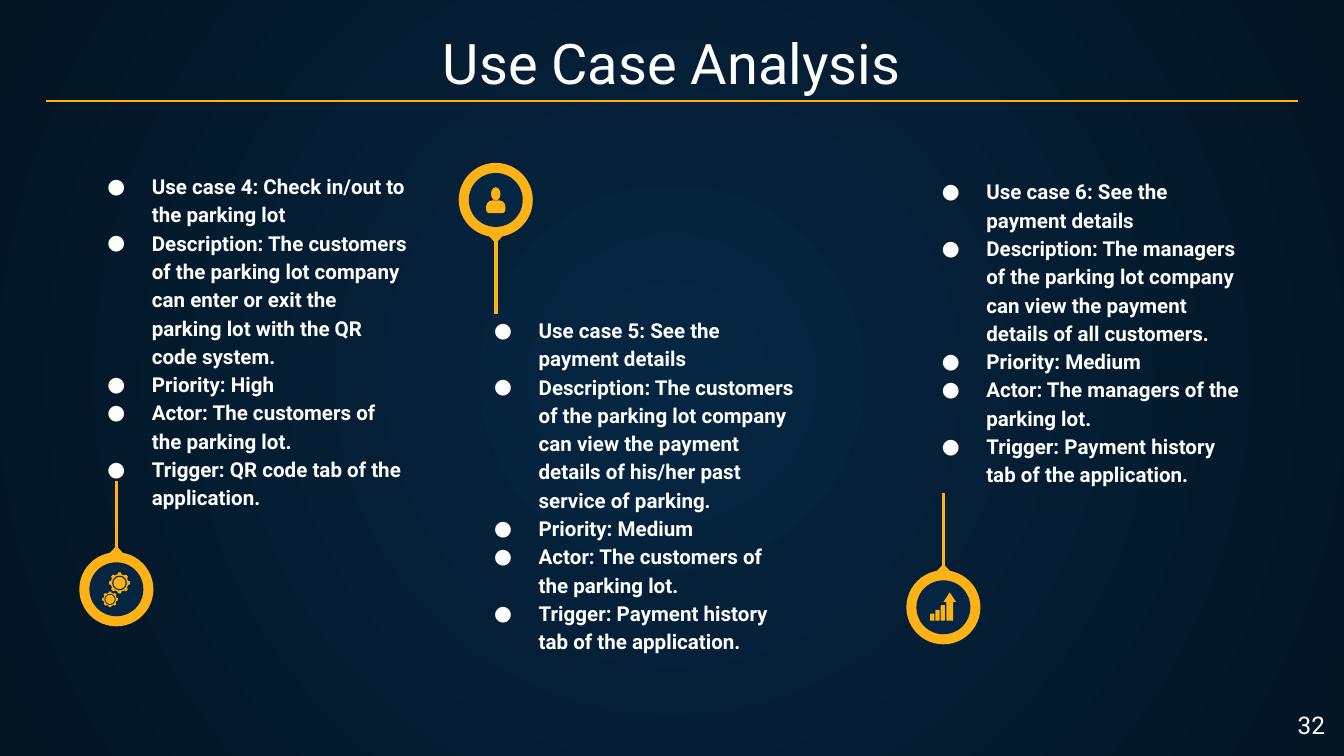
"""Build the Use Case Analysis slide with three marked lists."""
from math import cos, pi, sin

from lxml.etree import SubElement
from pptx import Presentation
from pptx.dml.color import RGBColor
from pptx.enum.shapes import MSO_CONNECTOR, MSO_SHAPE
from pptx.enum.text import MSO_ANCHOR, MSO_AUTO_SIZE, PP_ALIGN
from pptx.oxml.ns import qn
from pptx.util import Cm, Pt

GOLD, NAVY, DARK, WHITE = "FFB215", "052643", "041523", "FFFFFF"
rgb = RGBColor.from_string


def add(kind, x, y, w, h, color=GOLD):
    """Add a plain filled preset shape, with lengths in centimetres."""
    sp = s.shapes.add_shape(kind, Cm(x), Cm(y), Cm(w), Cm(h))
    sp.fill.solid()
    sp.fill.fore_color.rgb = rgb(color)
    sp.line.fill.background()
    sp.shadow.inherit = False
    return sp


def write(sp, box, lines, size, bold=False, align=PP_ALIGN.LEFT):
    """Place a text shape and fill it with white paragraphs."""
    sp.left, sp.top, sp.width, sp.height = [Cm(v) for v in box]
    tf = sp.text_frame
    tf.word_wrap = True
    tf.auto_size = MSO_AUTO_SIZE.NONE
    tf.vertical_anchor = MSO_ANCHOR.TOP
    tf.margin_left = tf.margin_right = tf.margin_top = tf.margin_bottom = Cm(0.25)
    tf.text = "\n".join(lines)
    for p in tf.paragraphs:
        p.alignment = align
        p.space_before = Pt(0)
        p.font.name = "Roboto"
        p.font.size = Pt(size)
        p.font.bold = bold
        p.font.color.rgb = rgb(WHITE)
    return tf


prs = Presentation()
prs.slide_width, prs.slide_height = Cm(25.4), Cm(14.29)
s = prs.slides.add_slide(prs.slide_layouts.get_by_name("Comparison"))

fill = s.background.fill
fill.gradient()
for stop, color in zip(fill.gradient_stops, (NAVY, DARK)):
    stop.color.rgb = rgb(color)
grad = next(s.element.iter(qn("a:gradFill")))
grad.remove(grad.find(qn("a:lin")))
circle = SubElement(grad, qn("a:path"), path="circle")
SubElement(circle, qn("a:fillToRect"), l="50000", t="50000", r="50000", b="50000")

tf = write(s.shapes.title, (0.86, 0.38, 23.67, 1.68), ["Use Case Analysis"], 30, align=PP_ALIGN.CENTER)
tf.vertical_anchor = MSO_ANCHOR.BOTTOM

use_cases = [
    (1.35, 2.97, [
        "Use case 4: Check in/out to the parking lot",
        "Description: The customers of the parking lot company can enter or exit the parking lot with the QR code system.",
        "Priority: High",
        "Actor: The customers of the parking lot.",
        "Trigger: QR code tab of the application.",
    ]),
    (8.66, 5.69, [
        "Use case 5: See the payment details",
        "Description: The customers of the parking lot company can view the payment details of his/her past service of parking.",
        "Priority: Medium",
        "Actor: The customers of the parking lot.",
        "Trigger: Payment history tab of the application.",
    ]),
    (17.12, 3.07, [
        "Use case 6: See the payment details",
        "Description: The managers of the parking lot company can view the payment details of all customers.",
        "Priority: Medium",
        "Actor: The managers of the parking lot.",
        "Trigger: Payment history tab of the application.",
    ]),
]
bodies = list(s.placeholders)[1:]
for body, (x, y, lines) in zip(bodies, use_cases):
    tf = write(body, (x, y, 6.63, 6.55), lines, 11, bold=True)
    for p in tf.paragraphs:
        p.line_spacing = 1.15
        pPr = p._p.get_or_add_pPr()
        pPr.set("marL", str(Cm(1.27)))
        pPr.set("indent", str(Cm(-0.84)))
        bullet = [pPr.makeelement(qn(f"a:{tag}")) for tag in ("buClr", "buFont", "buChar")]
        SubElement(bullet[0], qn("a:srgbClr"), val=WHITE)
        bullet[1].set("typeface", "Roboto")
        bullet[2].set("char", "●")
        for el in bullet:
            pPr.find(qn("a:defRPr")).addprevious(el)
bodies[-1].element.getparent().remove(bodies[-1].element)

lines = [(0.86, 1.91, 24.54, 1.91, 0.75)]
for x, y, end in [(2.2, 11.14, 9.09), (9.37, 3.78, 5.94), (17.83, 11.48, 9.32)]:
    side = 1 if end > y else -1
    add(MSO_SHAPE.OVAL, x - 0.7, y - 0.7, 1.4, 1.4)
    add(MSO_SHAPE.OVAL, x - 0.51, y - 0.51, 1.02, 1.02, NAVY)
    pointer = add(MSO_SHAPE.ISOSCELES_TRIANGLE, x - 0.13, y + side * 0.75 - 0.07, 0.26, 0.14)
    pointer.rotation = 180 if side > 0 else 0
    lines.append((x, y + side * 0.67, x, end, 1.95))

for x1, y1, x2, y2, width in lines:
    line = s.shapes.add_connector(MSO_CONNECTOR.STRAIGHT, Cm(x1), Cm(y1), Cm(x2), Cm(y2))
    line.line.color.rgb = rgb(GOLD)
    line.line.width = Pt(width)
    SubElement(line.element.spPr, qn("a:effectLst"))

for x, y, r in [(2.26, 11.02, 0.2), (2.08, 11.33, 0.15)]:
    points = []
    for tooth in range(8):
        for shift, reach in [(-0.3, 0.83), (-0.17, 1), (0.17, 1), (0.3, 0.83)]:
            angle = (tooth + shift) * pi / 4
            points.append((Cm(x + r * reach * cos(angle)), Cm(y + r * reach * sin(angle))))
    builder = s.shapes.build_freeform(*points[0])
    builder.add_line_segments(points[1:])
    gear = builder.convert_to_shape()
    gear.fill.solid()
    gear.fill.fore_color.rgb = rgb(GOLD)
    gear.line.fill.background()
    gear.shadow.inherit = False
    for part, color in [(0.7, NAVY), (0.58, GOLD)]:
        add(MSO_SHAPE.OVAL, x - r * part, y - r * part, 2 * r * part, 2 * r * part, color)

add(MSO_SHAPE.OVAL, 9.28, 3.54, 0.18, 0.25)
shoulders = add(MSO_SHAPE.ROUND_2_SAME_RECTANGLE, 9.19, 3.79, 0.36, 0.24)
shoulders.adjustments[0], shoulders.adjustments[1] = 0.45, 0.25

for i, h in enumerate([0.13, 0.2, 0.29]):
    add(MSO_SHAPE.ROUND_2_SAME_RECTANGLE, 17.58 + 0.1 * i, 11.73 - h, 0.08, h)
arrow = add(MSO_SHAPE.UP_ARROW, 17.83, 11.2, 0.24, 0.53)
arrow.adjustments[0], arrow.adjustments[1] = 0.55, 0.75

number = s.shapes.add_textbox(0, 0, 0, 0)
write(number, (23.77, 13.18, 1.52, 1.09), ["32"], 13, align=PP_ALIGN.RIGHT)

prs.save("out.pptx")
